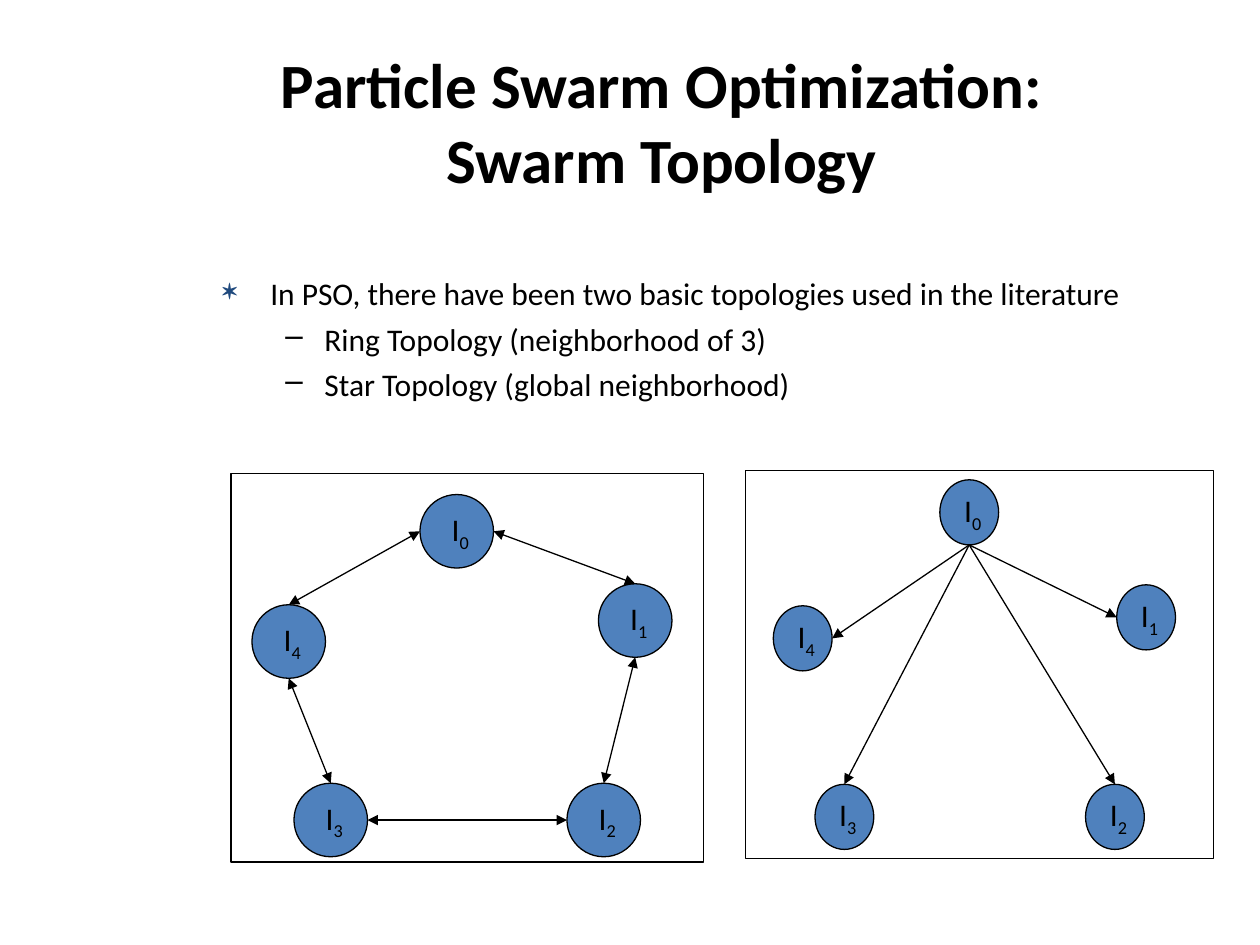
import lxml.etree
import pptx
import pptx.dml.color
import pptx.enum.shapes
import pptx.enum.text
import pptx.oxml.ns
import pptx.util

COLORS = {"text": "000000", "node": "4F81BD", "bullet": "1F497D"}
FONT = "Calibri"
UNIT = 1 / 12  # inches: the slide is 120 columns by 90 rows
PANEL_COLUMNS, PANEL_ROWS = 90, 74
NODE_CELLS = [(43, 11), (77, 28), (71, 66), (19, 66), (11, 32)]
SIDES = {"top": (0, -0.5), "left": (-0.5, 0), "bottom": (0, 0.5), "right": (0.5, 0)}
RING_LINKS = [
    (0, "left", 4, "top"), (1, "top", 0, "right"), (2, "top", 1, "bottom"),
    (4, "bottom", 3, "top"), (3, "right", 2, "left"),
]
STAR_LINKS = [
    (0, "bottom", 4, "right"), (0, "bottom", 3, "top"),
    (0, "bottom", 1, "left"), (0, "bottom", 2, "top"),
]


def grid(*cells):
    return [pptx.util.Inches(cell * UNIT) for cell in cells]


def color(name):
    return pptx.dml.color.RGBColor.from_string(COLORS[name])


def add_child(parent, tag, **attributes):
    child = lxml.etree.SubElement(parent, pptx.oxml.ns.qn(tag))
    for name, value in attributes.items():
        child.set(name, value)
    return child


def format_runs(paragraph, size, bold=False):
    for run in paragraph.runs:
        run.font.name = FONT
        run.font.size = pptx.util.Pt(size)
        run.font.bold = bold
        run.font.color.rgb = color("text")


def set_line(line):
    line.color.rgb = color("text")
    line.width = pptx.util.Pt(0.75)


def add_title(slide, box, text):
    frame = slide.shapes.add_textbox(*grid(*box)).text_frame
    frame.word_wrap = True
    frame.vertical_anchor = pptx.enum.text.MSO_ANCHOR.MIDDLE
    frame.text = text
    paragraph = frame.paragraphs[0]
    paragraph.alignment = pptx.enum.text.PP_ALIGN.CENTER
    format_runs(paragraph, 36, bold=True)


def set_bullet(paragraph, level):
    character, name, percent, margin, indent = [
        ("✶", "bullet", 95, 0.38, -0.38),
        ("–", "text", 100, 0.81, -0.31),
    ][level]
    paragraph.level = level
    properties = paragraph._p.get_or_add_pPr()
    properties.set("marL", str(pptx.util.Inches(margin)))
    properties.set("indent", str(pptx.util.Inches(indent)))
    add_child(add_child(properties, "a:buClr"), "a:srgbClr", val=COLORS[name])
    add_child(properties, "a:buSzPct", val=str(percent * 1000))
    add_child(properties, "a:buChar", char=character)


def add_bullets(slide, box, items):
    frame = slide.shapes.add_textbox(*grid(*box)).text_frame
    frame.word_wrap = True
    frame.text = "\n".join(text for level, text in items)
    for index, (paragraph, (level, text)) in enumerate(zip(frame.paragraphs, items)):
        if index:
            paragraph.space_before = pptx.util.Pt(4.5)
        set_bullet(paragraph, level)
        format_runs(paragraph, 18)


def add_node(group, center, size, number):
    (x, y), (width, height) = center, size
    node = group.shapes.add_shape(
        pptx.enum.shapes.MSO_SHAPE.OVAL,
        *grid(x - width / 2, y - height / 2, width, height))
    node.shadow.inherit = False
    node.fill.solid()
    node.fill.fore_color.rgb = color("node")
    set_line(node.line)
    frame = node.text_frame
    frame.word_wrap = False
    frame.vertical_anchor = pptx.enum.text.MSO_ANCHOR.MIDDLE
    paragraph = frame.paragraphs[0]
    paragraph.text = " I"
    paragraph.add_run().text = str(number)
    paragraph.alignment = pptx.enum.text.PP_ALIGN.CENTER
    format_runs(paragraph, 18)
    paragraph.runs[1].font._element.set("baseline", "-25000")


def add_arrow(group, start, end, both_ways):
    arrow = group.shapes.add_connector(
        pptx.enum.shapes.MSO_CONNECTOR.STRAIGHT, *grid(*start, *end))
    set_line(arrow.line)
    line = arrow.line._get_or_add_ln()
    if both_ways:
        add_child(line, "a:headEnd", type="triangle")
    add_child(line, "a:tailEnd", type="triangle")
    add_child(arrow._element.spPr, "a:effectLst")


def add_topology(slide, box, size, links, both_ways, first_row):
    """Draw a framed swarm of nodes; first_row is the panel row of node 0."""
    left, top, width, height = box
    group = slide.shapes.add_group_shape()
    cells = [(NODE_CELLS[0][0], first_row)] + NODE_CELLS[1:]
    centers = [(left + width * column / PANEL_COLUMNS, top + height * row / PANEL_ROWS)
               for column, row in cells]

    def side_point(number, side):
        return [center + share * length
                for center, share, length in zip(centers[number], SIDES[side], size)]

    for number, center in enumerate(centers):
        add_node(group, center, size, number)
    for start, start_side, end, end_side in links:
        add_arrow(group, side_point(start, start_side), side_point(end, end_side), both_ways)
    frame = group.shapes.add_shape(pptx.enum.shapes.MSO_SHAPE.RECTANGLE, *grid(*box))
    frame.shadow.inherit = False
    frame.fill.background()
    set_line(frame.line)


def main():
    presentation = pptx.Presentation()
    presentation.slide_width, presentation.slide_height = grid(120, 90)
    slide = presentation.slides.add_slide(presentation.slide_layouts[6])
    add_title(slide, (20, 4, 86, 15), "Particle Swarm Optimization:\vSwarm Topology")
    add_bullets(slide, (20, 25.5, 94, 20), [
        (0, "In PSO, there have been two basic topologies used in the literature"),
        (1, "Ring Topology (neighborhood of 3)"),
        (1, "Star Topology (global neighborhood)"),
    ])
    add_topology(slide, (22, 45.1, 45, 37), (7, 7), RING_LINKS, True, 11)
    add_topology(slide, (71, 44.8, 44.6, 37), (5.6, 6.2), STAR_LINKS, False, 8)
    presentation.save("out.pptx")


if __name__ == "__main__":
    main()
